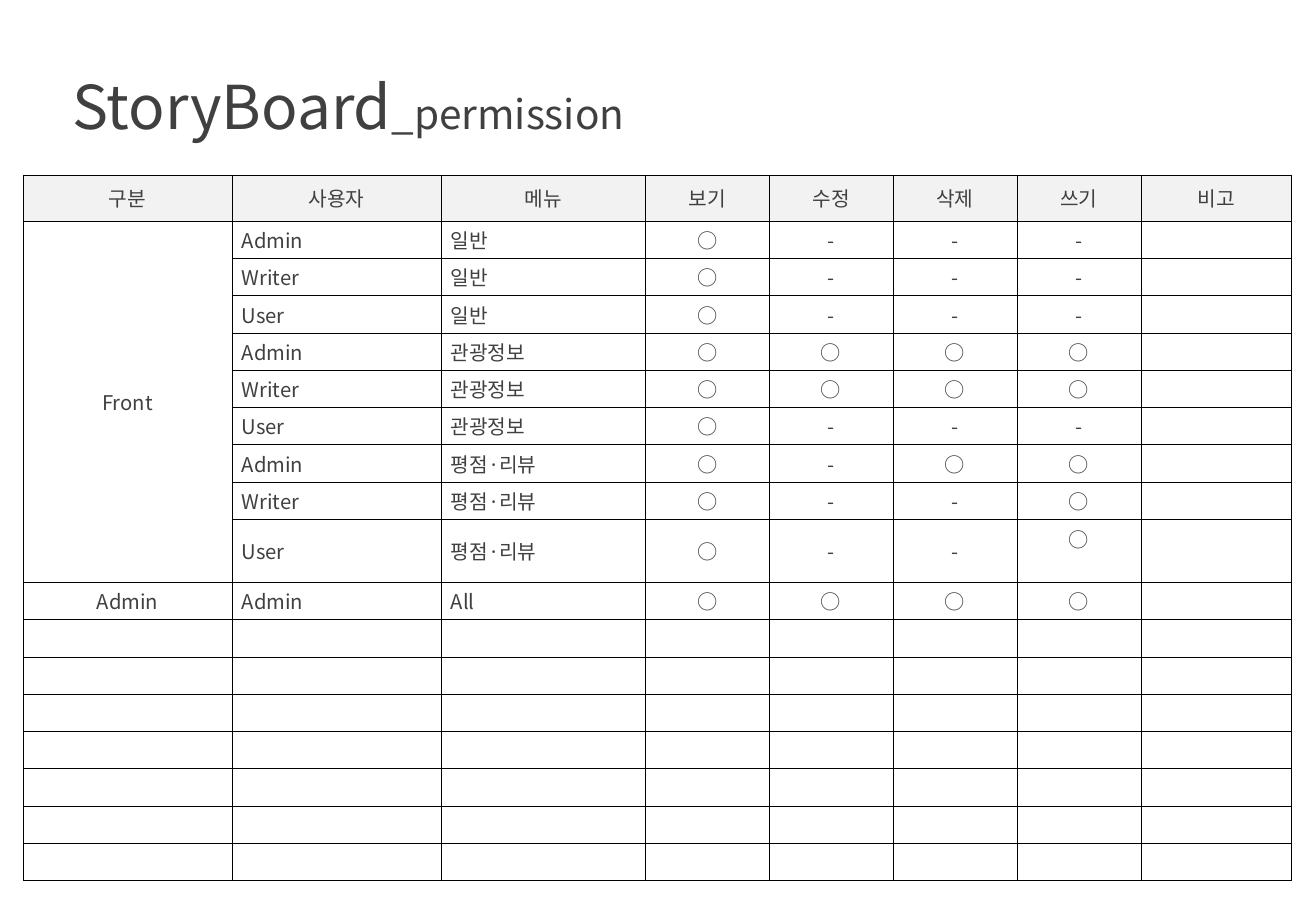
from dataclasses import dataclass

from lxml import etree
from pptx import Presentation
from pptx.dml.color import RGBColor
from pptx.enum.text import MSO_ANCHOR, PP_ALIGN
from pptx.oxml.ns import qn
from pptx.slide import Slide
from pptx.table import Table, _Cell
from pptx.text.text import _Paragraph
from pptx.util import Inches, Pt

CENTER, LEFT = PP_ALIGN.CENTER, PP_ALIGN.LEFT
MIDDLE = MSO_ANCHOR.MIDDLE
INK = RGBColor(0x40, 0x40, 0x40)
HEADER_FILL = RGBColor(0xF2, 0xF2, 0xF2)
BORDER = RGBColor(0x00, 0x00, 0x00)
FONT = "Noto Sans CJK KR"
CELL_SIZE = 12
BORDER_WIDTH = 0.25

HEADERS = ["구분", "사용자", "메뉴", "보기", "수정", "삭제", "쓰기", "비고"]
COLUMN_WIDTHS = [1.72, 1.72, 1.68, 1.02, 1.02, 1.02, 1.02, 1.24]
TEXT_COLUMNS = (1, 2)
WRITE_COLUMN = 6
USERS = ["Admin", "Writer", "User"]
ROW_COUNT = 18
TABLE_HEIGHT, HEADER_HEIGHT, TALL_HEIGHT = 5.81, 0.38, 0.52
TALL_ROW = 9


@dataclass(frozen=True)
class Menu:
    name: str
    marks: tuple[str, ...]  # view, edit, delete, write for each user


FRONT_MENUS = [
    Menu("일반", ("○---", "○---", "○---")),
    Menu("관광정보", ("○○○○", "○○○○", "○---")),
    Menu("평점·리뷰", ("○-○○", "○--○", "○--○")),
]


def permission_rows() -> list[list[str]]:
    """Return all table rows, padded with empty ones."""
    rows = [HEADERS]
    for menu in FRONT_MENUS:
        for user, marks in zip(USERS, menu.marks):
            rows.append(["", user, menu.name, *marks, ""])
    rows[1][0] = "Front"
    rows.append(["Admin", "Admin", "All", *"○○○○", ""])
    return rows + [[""] * len(HEADERS)] * (ROW_COUNT - len(rows))


def style_paragraph(para: _Paragraph) -> None:
    """Set the font for Latin and East Asian text alike."""
    para.font.name = FONT
    para.font.color.rgb = INK
    properties = para._p.pPr.find(qn("a:defRPr"))
    etree.SubElement(properties, qn("a:ea"), typeface=FONT)


def add_borders(cell: _Cell) -> None:
    properties = cell._tc.get_or_add_tcPr()
    for index, side in enumerate(("a:lnL", "a:lnR", "a:lnT", "a:lnB")):
        line = etree.Element(qn(side), w=str(Pt(BORDER_WIDTH)))
        fill = etree.SubElement(line, qn("a:solidFill"))
        etree.SubElement(fill, qn("a:srgbClr"), val=str(BORDER))
        properties.insert(index, line)


def fill_cell(cell: _Cell, text: str, align: PP_ALIGN, is_header: bool) -> None:
    cell.vertical_anchor = MIDDLE
    cell.margin_left = cell.margin_right = Inches(0.08)
    cell.margin_top = cell.margin_bottom = Inches(0.03)
    if is_header:
        cell.fill.solid()
        cell.fill.fore_color.rgb = HEADER_FILL
    else:
        cell.fill.background()
    add_borders(cell)
    para = cell.text_frame.paragraphs[0]
    para.alignment = align
    para.font.size = Pt(CELL_SIZE)
    style_paragraph(para)
    if text:
        para.add_run().text = text
    else:
        # An empty cell takes its line height from the end-of-paragraph mark.
        etree.SubElement(para._p, qn("a:endParaRPr"), sz=str(CELL_SIZE * 100))


def set_table_sizes(table: Table) -> None:
    for column, width in zip(table.columns, COLUMN_WIDTHS):
        column.width = Inches(width)
    regular = (TABLE_HEIGHT - HEADER_HEIGHT - TALL_HEIGHT) / (ROW_COUNT - 2)
    special = {0: HEADER_HEIGHT, TALL_ROW: TALL_HEIGHT}
    for index, row in enumerate(table.rows):
        row.height = Inches(special.get(index, regular))


def add_permission_table(page: Slide) -> None:
    frame = page.shapes.add_table(
        ROW_COUNT, len(HEADERS), Inches(0.19), Inches(1.44),
        Inches(sum(COLUMN_WIDTHS)), Inches(TABLE_HEIGHT),
    )
    table = frame.table
    set_table_sizes(table)
    for row_index, row in enumerate(permission_rows()):
        is_header = row_index == 0
        for column_index, text in enumerate(row):
            is_left = column_index in TEXT_COLUMNS and not is_header
            cell = table.cell(row_index, column_index)
            fill_cell(cell, text, LEFT if is_left else CENTER, is_header)
    # The last write mark sits in the upper half of its tall row.
    table.cell(TALL_ROW, WRITE_COLUMN).margin_bottom = Inches(0.23)
    table.cell(1, 0).merge(table.cell(TALL_ROW, 0))


def add_title(page: Slide) -> None:
    box = page.shapes.add_textbox(Inches(0.5), Inches(0.54), Inches(4.97), Inches(0.7))
    frame = box.text_frame
    frame.word_wrap = False
    frame.vertical_anchor = MIDDLE
    frame.margin_top, frame.margin_bottom = 0, Inches(0.04)
    para = frame.paragraphs[0]
    para.alignment = LEFT
    style_paragraph(para)
    for text, size in (("StoryBoard", 35.8), ("_permission", 24)):
        span = para.add_run()
        span.text = text
        span.font.size = Pt(size)


def main() -> None:
    deck = Presentation()
    deck.slide_width, deck.slide_height = Inches(10.83), Inches(7.5)
    blank_layout = deck.slide_layouts[6]
    page = deck.slides.add_slide(blank_layout)
    add_title(page)
    add_permission_table(page)
    deck.save("out.pptx")


if __name__ == "__main__":
    main()
